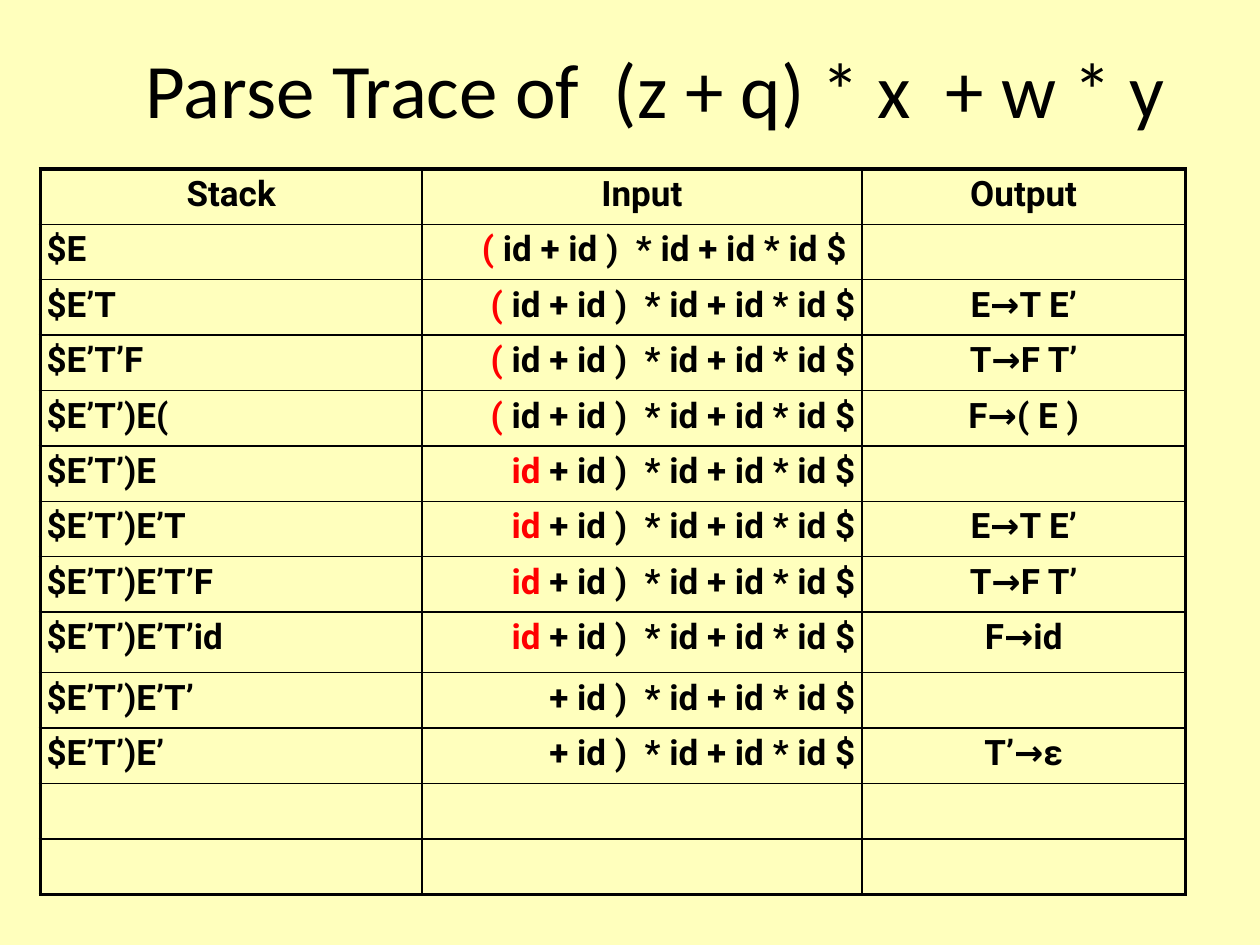
from lxml import etree
from pptx import Presentation
from pptx.dml.color import RGBColor
from pptx.enum.text import MSO_ANCHOR, PP_ALIGN
from pptx.oxml.ns import qn
from pptx.util import Inches, Pt

LEFT, CENTER, RIGHT = PP_ALIGN.LEFT, PP_ALIGN.CENTER, PP_ALIGN.RIGHT
MIDDLE = MSO_ANCHOR.MIDDLE
CREAM = RGBColor(0xFF, 0xFF, 0xBD)
BLACK = RGBColor(0, 0, 0)
RED = RGBColor(0xFF, 0, 0)
THIN, THICK = Pt(1), Pt(2.25)

COL_WIDTHS = [3.03, 3.49, 2.57]
ROW_HEIGHT, TALL_ROW, TALL_HEIGHT = 0.44, 8, 0.48
ALIGNS = [LEFT, RIGHT, CENTER]

# Each row: stack, lookahead token in red, rest of the input, output
AFTER_PAREN = " id + id )  * id + id * id $"
AFTER_ID = " + id )  * id + id * id $"
ROWS = [
    ("Stack", "", "Input", "Output"),
    ("$E", "(", AFTER_PAREN + " ", ""),
    ("$E’T", "(", AFTER_PAREN, "E→T E’"),
    ("$E’T’F", "(", AFTER_PAREN, "T→F T’"),
    ("$E’T’)E(", "(", AFTER_PAREN, "F→( E )"),
    ("$E’T’)E", "id", AFTER_ID, ""),
    ("$E’T’)E’T", "id", AFTER_ID, "E→T E’"),
    ("$E’T’)E’T’F", "id", AFTER_ID, "T→F T’"),
    ("$E’T’)E’T’id", "id", AFTER_ID, "F→id"),
    ("$E’T’)E’T’", "", AFTER_ID.strip(), ""),
    ("$E’T’)E’", "", AFTER_ID.strip(), "T’→ε"),
    ("", "", "", ""),
    ("", "", "", ""),
]


def set_border(cell, side, width):
    ln = etree.SubElement(cell._tc.get_or_add_tcPr(), qn("a:" + side), w=str(width))
    fill = etree.SubElement(ln, qn("a:solidFill"))
    etree.SubElement(fill, qn("a:srgbClr"), val=str(BLACK))


prs = Presentation()
prs.slide_width, prs.slide_height = Inches(10), Inches(7.5)
s = prs.slides.add_slide(prs.slide_layouts[6])
s.background.fill.solid()
s.background.fill.fore_color.rgb = CREAM

# Title
tf = s.shapes.add_textbox(Inches(0.44), Inches(0.27), Inches(9.53), Inches(0.85)).text_frame
tf.word_wrap = True
tf.vertical_anchor = MIDDLE
p = tf.paragraphs[0]
p.text = "Parse Trace of  (z + q) * x  + w * y"
p.alignment = CENTER
p.font.name, p.font.size = "Calibri", Pt(44)
p.font.color.rgb = BLACK

# Trace table
last_row, last_col = len(ROWS) - 1, len(COL_WIDTHS) - 1
table = s.shapes.add_table(len(ROWS), len(COL_WIDTHS), Inches(0.32), Inches(1.34),
                           Inches(sum(COL_WIDTHS)), Inches(5.76)).table
table.first_row = table.horz_banding = False
for column, width in zip(table.columns, COL_WIDTHS):
    column.width = Inches(width)

for i, (stack, token, rest, output) in enumerate(ROWS):
    table.rows[i].height = Inches(TALL_HEIGHT if i == TALL_ROW else ROW_HEIGHT)
    for j, runs in enumerate([[("", stack)], [(token, rest)], [("", output)]]):
        cell = table.cell(i, j)
        cell.margin_left = cell.margin_right = Inches(0.05)
        cell.margin_top = cell.margin_bottom = Inches(0.05)

        # Thick outer frame, thin inner grid
        for side, outer in (("lnL", j == 0), ("lnR", j == last_col),
                            ("lnT", i == 0), ("lnB", i == last_row)):
            set_border(cell, side, THICK if outer else THIN)
        cell.fill.background()

        p = cell.text_frame.paragraphs[0]
        p.alignment = CENTER if i == 0 else ALIGNS[j]
        p.line_spacing = 0.95
        p.font.name, p.font.size, p.font.bold = "Roboto", Pt(20), True
        for lookahead, text in runs:
            for part, color in ((lookahead, RED), (text, BLACK)):
                if part:
                    r = p.add_run()
                    r.text = part
                    r.font.color.rgb = color

prs.save("out.pptx")
